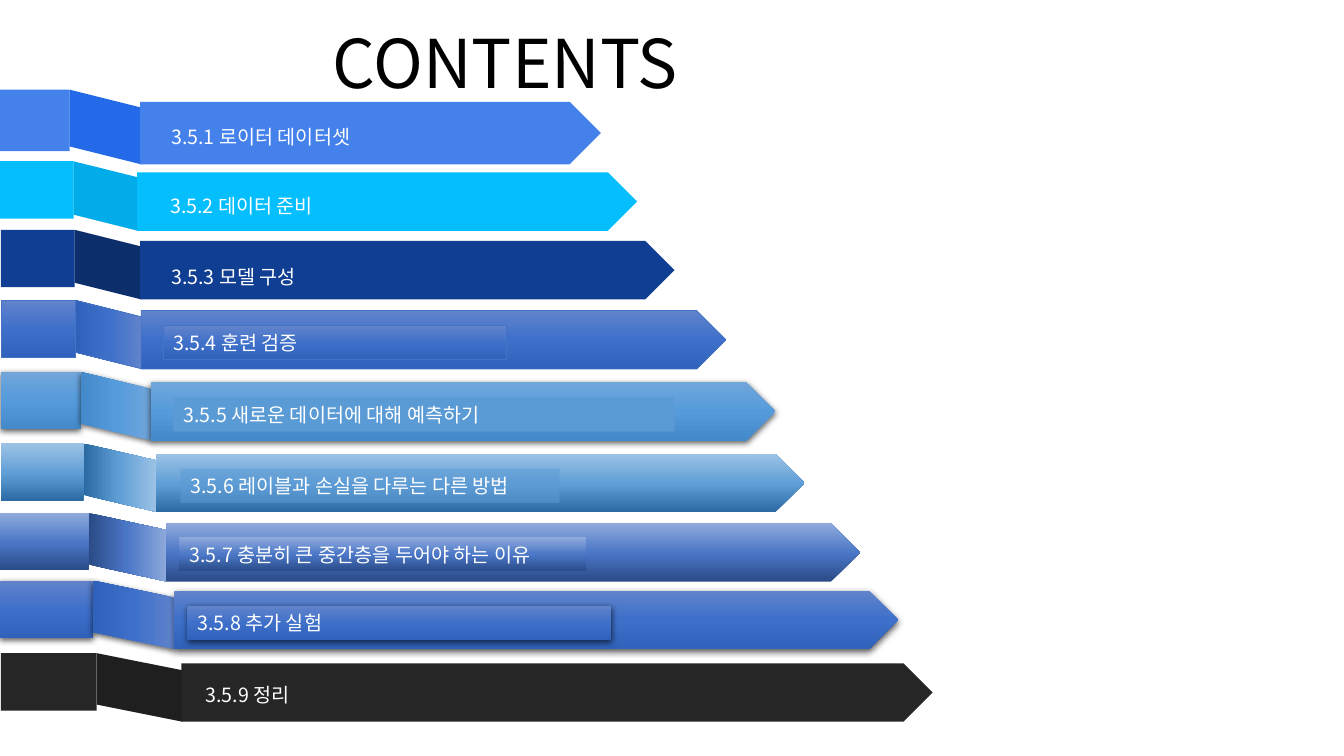
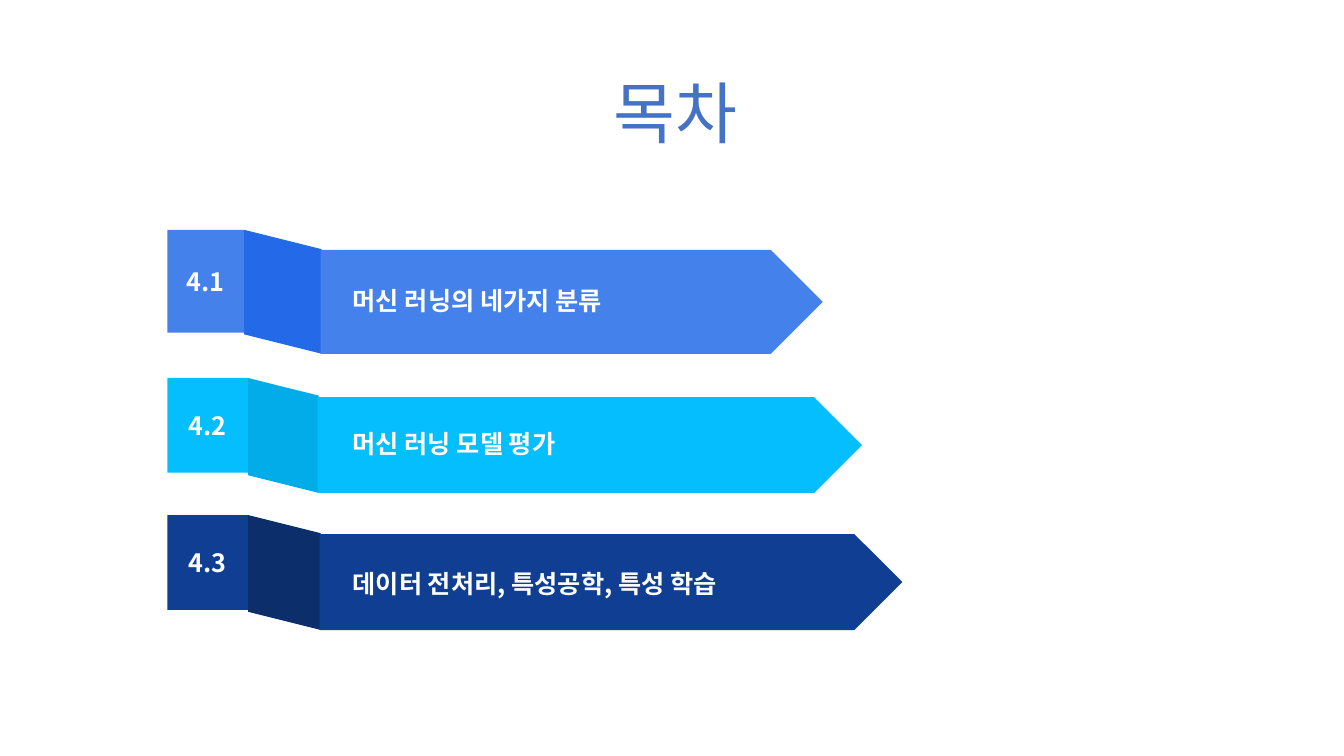
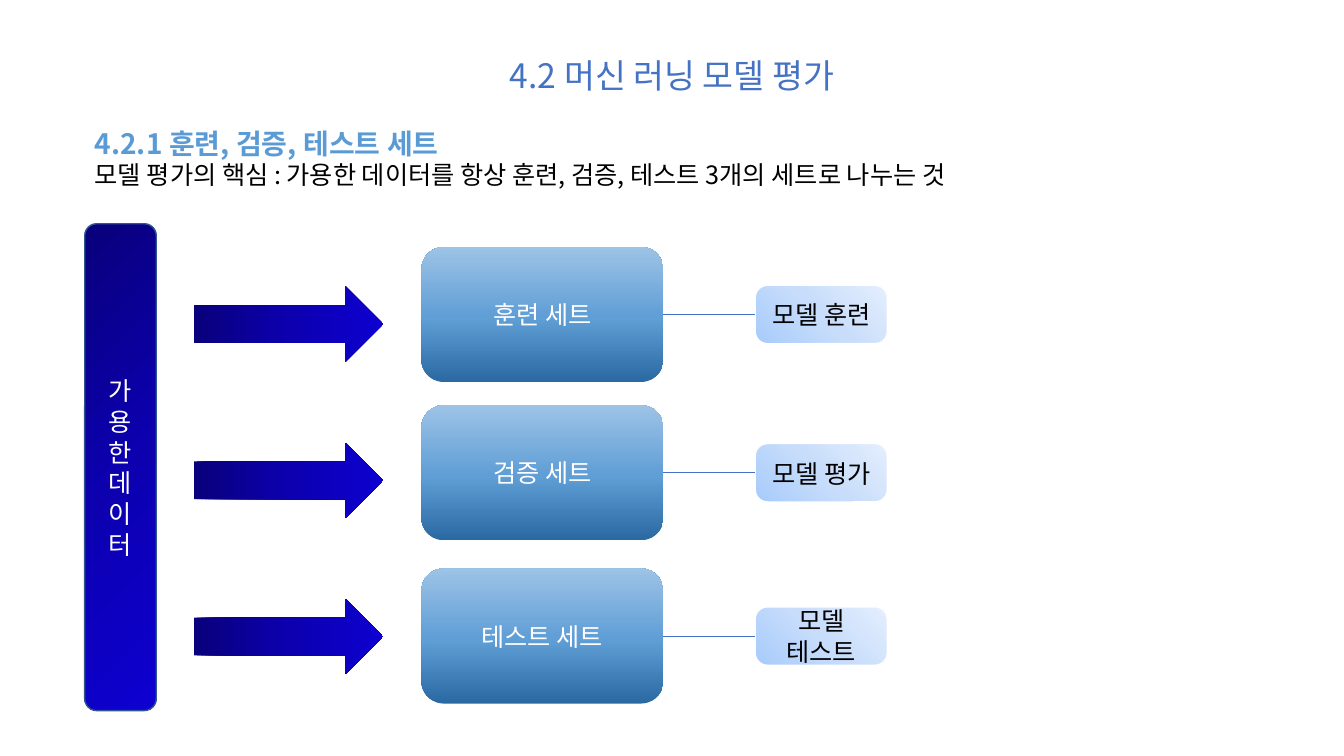
from dataclasses import dataclass
from typing import Any

from lxml import etree
from pptx import Presentation
from pptx.dml.color import RGBColor
from pptx.enum import shapes, text
from pptx.oxml import ns
from pptx.util import Inches, Pt

FONT = "Noto Sans CJK KR"
WHITE = RGBColor(0xFF, 0xFF, 0xFF)
BLACK = RGBColor(0, 0, 0)
ACCENT = RGBColor(0x44, 0x72, 0xC4)
SKY = RGBColor(0x5B, 0x9B, 0xD5)
BLUE = RGBColor(0x44, 0x81, 0xEB)
BLUE_FOLD = RGBColor(0x24, 0x6A, 0xE8)
CYAN = RGBColor(0x04, 0xBE, 0xFE)
CYAN_FOLD = RGBColor(0x01, 0xAC, 0xE9)
NAVY = RGBColor(0x10, 0x3E, 0x92)
NAVY_FOLD = RGBColor(0x0C, 0x2E, 0x6A)
CHARCOAL = RGBColor(0x26, 0x26, 0x26)
CHARCOAL_FOLD = RGBColor(0x1F, 0x1F, 0x1F)
POOL_EDGE = RGBColor(0x32, 0x54, 0x91)

KIND = shapes.MSO_SHAPE
ALIGN = text.PP_ALIGN
ANCHOR = text.MSO_ANCHOR


@dataclass
class Gradient:
    stops: tuple
    angle: int


ROYAL = Gradient(((0, "6183CB"), (50, "3E70CA"), (100, "3062BB")), 90)
AZURE = Gradient(((0, "71A6DB"), (50, "559BDB"), (100, "448ACA")), 90)
STEEL = Gradient(((0, "2A69A2"), (48, "609ED6"), (100, "9DC3E6")), 270)
INDIGO = Gradient(((0, "2A4B86"), (48, "4A76C6"), (100, "8FAADC")), 270)
DEEP_STOPS = ((0, "09007B"), (50, "0C00AF"), (100, "0E00D0"))
POOL_FILL = Gradient(DEEP_STOPS, 45)
FLOW_FILL = Gradient(DEEP_STOPS, 0)
ROLE_FILL = Gradient(((0, "A7CBFB"), (50, "C8DDFB"), (100, "E4EEFD")), 315)


@dataclass
class Style:
    face: Any
    fold: Any
    label: Any = None
    label_alpha: int = 100
    edge: Any = None
    shadow: bool = False
    label_shadow: bool = False


BLUE_STYLE = Style(BLUE, BLUE_FOLD)
CYAN_STYLE = Style(CYAN, CYAN_FOLD)
NAVY_STYLE = Style(NAVY, NAVY_FOLD)
OUTLINED_STYLE = Style(ROYAL, ROYAL, ROYAL, edge=ACCENT)
AZURE_STYLE = Style(AZURE, AZURE, SKY, shadow=True)
STEEL_STYLE = Style(STEEL, STEEL, SKY, label_alpha=50)
INDIGO_STYLE = Style(INDIGO, INDIGO, INDIGO)
RAISED_STYLE = Style(ROYAL, ROYAL, ROYAL, shadow=True, label_shadow=True)
CHARCOAL_STYLE = Style(CHARCOAL, CHARCOAL_FOLD)


@dataclass
class Banner:
    caption: str
    style: Style
    left: float
    top: float
    tab_right: float
    tab_height: float
    arrow_left: float
    arrow_right: float
    drop: float
    label_left: float
    label_top: float
    label_width: float
    number: str = ""


CONTENTS = [
    Banner("3.5.1 로이터 데이터셋", BLUE_STYLE, 0, 0.89, 0.69, 0.61, 1.39, 5.96, 0.12, 1.6, 1.19, 2.6),
    Banner("3.5.2 데이터 준비", CYAN_STYLE, 0, 1.6, 0.73, 0.57, 1.36, 6.32, 0.11, 1.59, 1.87, 2.92),
    Banner("3.5.3 모델 구성", NAVY_STYLE, 0.01, 2.28, 0.74, 0.57, 1.39, 6.69, 0.11, 1.6, 2.57, 3.36),
    Banner("3.5.4 훈련 검증", OUTLINED_STYLE, 0.01, 2.98, 0.75, 0.57, 1.4, 7.2, 0.1, 1.62, 3.23, 3.4),
    Banner("3.5.5 새로운 데이터에 대해 예측하기", AZURE_STYLE, 0.01, 3.69, 0.8, 0.57, 1.5, 7.69, 0.1, 1.72, 3.94, 4.97),
    Banner("3.5.6 레이블과 손실을 다루는 다른 방법", STEEL_STYLE, 0.01, 4.4, 0.83, 0.57, 1.55, 7.98, 0.1, 1.79, 4.65, 3.76),
    Banner("3.5.7 충분히 큰 중간층을 두어야 하는 이유", INDIGO_STYLE, 0, 5.09, 0.88, 0.57, 1.65, 8.53, 0.1, 1.78, 5.33, 4.03),
    Banner("3.5.8 추가 실험", RAISED_STYLE, 0, 5.76, 0.92, 0.57, 1.73, 8.91, 0.1, 1.86, 6.01, 4.2),
    Banner("3.5.9 정리", CHARCOAL_STYLE, 0.01, 6.48, 0.96, 0.57, 1.8, 9.25, 0.1, 1.94, 6.72, 4.36),
]
CHAPTERS = [
    Banner("머신 러닝의 네가지 분류", BLUE_STYLE, 1.66, 2.28, 2.42, 1.02, 3.18, 8.16, 0.2, 3.4, 2.78, 4.52, "4.1"),
    Banner("머신 러닝 모델 평가", CYAN_STYLE, 1.66, 3.75, 2.46, 0.94, 3.15, 8.55, 0.19, 3.4, 4.2, 4.76, "4.2"),
    Banner("데이터 전처리, 특성공학, 특성 학습", NAVY_STYLE, 1.66, 5.11, 2.46, 0.94, 3.17, 8.95, 0.19, 3.4, 5.59, 4.76, "4.3"),
]
STAGES = [
    ("훈련 세트", "모델 훈련", 2.45),
    ("검증 세트", "모델 평가", 4.02),
    ("테스트 세트", "모델 테스트", 5.64),
]


def paint(shape, fill, alpha=100):
    if fill is None:
        shape.fill.background()
    elif isinstance(fill, Gradient):
        shape.fill.gradient()
        gradient = shape.fill._xPr.find(ns.qn("a:gradFill"))
        stops = gradient.find(ns.qn("a:gsLst"))
        for stop in list(stops):
            stops.remove(stop)
        for position, colour in fill.stops:
            stop = etree.SubElement(stops, ns.qn("a:gs"), pos=str(position * 1000))
            etree.SubElement(stop, ns.qn("a:srgbClr"), val=colour)
        direction = gradient.find(ns.qn("a:lin"))
        direction.set("ang", str(fill.angle * 60000))
        direction.set("scaled", "0")
    else:
        shape.fill.solid()
        shape.fill.fore_color.rgb = fill
        if alpha < 100:
            colour = next(shape.fill._xPr.iter(ns.qn("a:srgbClr")))
            etree.SubElement(colour, ns.qn("a:alpha"), val=str(alpha * 1000))


def cast_shadow(shape):
    effects = shape.element.spPr.find(ns.qn("a:effectLst"))
    shadow = etree.SubElement(
        effects, ns.qn("a:outerShdw"), blurRad=str(Pt(4.5)), dist=str(Pt(1.5)),
        dir=str(90 * 60000), algn="ctr", rotWithShape="0")
    colour = etree.SubElement(shadow, ns.qn("a:srgbClr"), val="000000")
    etree.SubElement(colour, ns.qn("a:alpha"), val="63000")


def draw(parent, kind, left, top, width, height, fill, edge=None, edge_width=0.5, alpha=100, shadow=False):
    shape = parent.add_shape(kind, Inches(left), Inches(top), Inches(width), Inches(height))
    shape.shadow.inherit = False
    paint(shape, fill, alpha)
    if edge is None:
        shape.line.fill.background()
    else:
        shape.line.color.rgb = edge
        shape.line.width = Pt(edge_width)
    if shadow:
        cast_shadow(shape)
    return shape


def add_run(paragraph, words, size, colour, bold=False):
    run = paragraph.add_run()
    run.text = words
    run.font.size = Pt(size)
    run.font.bold = bold
    run.font.color.rgb = colour
    run.font.name = FONT
    etree.SubElement(run.font._element, ns.qn("a:ea"), typeface=FONT)


def write(shape, words, size, colour, align=ALIGN.CENTER, bold=False, spacing=None):
    frame = shape.text_frame
    frame.word_wrap = True
    frame.auto_size = text.MSO_AUTO_SIZE.NONE
    frame.vertical_anchor = ANCHOR.MIDDLE
    paragraph = frame.paragraphs[0]
    paragraph.alignment = align
    if spacing is not None:
        paragraph.line_spacing = spacing
    add_run(paragraph, words, size, colour, bold)


def place(shape, left, top, width, height):
    shape.left, shape.top = Inches(left), Inches(top)
    shape.width, shape.height = Inches(width), Inches(height)


def put_title(slide, words, box, size, colour):
    title = slide.shapes.title
    place(title, *box)
    write(title, words, size, colour, spacing=0.9)


def put_banner(slide, banner, size, label_height, bold):
    parts = slide.shapes.add_group_shape().shapes
    style = banner.style
    look = {"edge": style.edge, "shadow": style.shadow}
    arrow_top = banner.top + banner.drop
    arrow_height = banner.tab_height + 0.01

    tab = draw(parts, KIND.RECTANGLE, banner.left, banner.top,
               banner.tab_right - banner.left, banner.tab_height, style.face, **look)
    if banner.number:
        write(tab, banner.number, size, WHITE, bold=bold)

    fold_width = banner.arrow_left - banner.tab_right + 0.01
    fold_length = banner.drop + arrow_height
    fold = draw(parts, KIND.PARALLELOGRAM,
                banner.tab_right + (fold_width - fold_length) / 2,
                banner.top + (fold_length - fold_width) / 2,
                fold_length, fold_width, style.fold, **look)
    fold.rotation = 90

    draw(parts, KIND.PENTAGON, banner.arrow_left, arrow_top,
         banner.arrow_right - banner.arrow_left, arrow_height, style.face, **look)

    label_box = (banner.label_left, banner.label_top, banner.label_width, label_height)
    if style.label is None:
        label = parts.add_textbox(*map(Inches, label_box))
    else:
        label = draw(parts, KIND.RECTANGLE, *label_box, style.label, style.edge,
                     alpha=style.label_alpha, shadow=style.label_shadow)
    write(label, banner.caption, size, WHITE, ALIGN.LEFT, bold)


def build_agenda(deck, title, title_box, title_colour, banners, size, label_height, bold):
    slide = deck.slides.add_slide(deck.slide_layouts[5])
    put_title(slide, title, title_box, 48, title_colour)
    for banner in banners:
        put_banner(slide, banner, size, label_height, bold)


def put_summary(slide, box):
    summary = slide.placeholders[1]
    place(summary, *box)
    frame = summary.text_frame
    frame.word_wrap = True
    frame.auto_size = text.MSO_AUTO_SIZE.NONE
    frame.vertical_anchor = ANCHOR.TOP
    lines = [
        ("4.2.1 훈련, 검증, 테스트 세트", 20, SKY, True, 26),
        ("모델 평가의 핵심 : 가용한 데이터를 항상 훈련, 검증, 테스트 3개의 세트로 나누는 것", 18, BLACK, False, 21),
    ]
    for index, (words, size, colour, bold, pitch) in enumerate(lines):
        paragraph = frame.add_paragraph() if index else frame.paragraphs[0]
        properties = paragraph._p.get_or_add_pPr()
        properties.set("marL", "0")
        properties.set("indent", "0")
        etree.SubElement(properties, ns.qn("a:buNone"))
        paragraph.space_before = Pt(0)
        paragraph.line_spacing = Pt(pitch)
        add_run(paragraph, words, size, colour, bold)


def put_stage(slide, left, top, stage_name, role_name):
    width, height = 2.4, 1.34
    role_height = 0.58
    stage = draw(slide.shapes, KIND.ROUNDED_RECTANGLE, left, top, width, height, STEEL)
    write(stage, stage_name, 18, WHITE)
    role = draw(slide.shapes, KIND.ROUNDED_RECTANGLE, left + 3.31,
                top + (height - role_height) / 2, 1.31, role_height, ROLE_FILL, WHITE, 1)
    role.adjustments[0] = 0.21
    write(role, role_name, 18, BLACK, spacing=Pt(22))
    link = slide.shapes.add_connector(shapes.MSO_CONNECTOR.STRAIGHT, 0, 0, 0, 0)
    link.begin_connect(stage, 3)
    link.end_connect(role, 1)
    link.line.color.rgb = ACCENT
    link.line.width = Pt(0.5)
    etree.SubElement(link.element.spPr, ns.qn("a:effectLst"))


def build_evaluation(deck):
    slide = deck.slides.add_slide(deck.slide_layouts[1])
    put_title(slide, "4.2 머신 러닝 모델 평가", (0.84, 0.52, 11.65, 0.5), 24, ACCENT)
    put_summary(slide, (0.84, 1.18, 11.65, 1.04))
    pool = draw(slide.shapes, KIND.ROUNDED_RECTANGLE, 0.84, 2.22, 0.71, 4.83, POOL_FILL, POOL_EDGE, 1)
    write(pool, "가용한 데이터", 18, WHITE, spacing=Pt(22))
    for index, (stage_name, role_name, top) in enumerate(STAGES):
        draw(slide.shapes, KIND.RIGHT_ARROW, 1.92, 2.84 + index * 1.55, 1.88, 0.75, FLOW_FILL)
        put_stage(slide, 4.18, top, stage_name, role_name)


def main():
    deck = Presentation()
    deck.slide_width, deck.slide_height = Inches(13.33), Inches(7.5)
    build_agenda(deck, "CONTENTS", (0.72, 0.21, 8.58, 0.91), BLACK, CONTENTS, 14, 0.34, False)
    build_agenda(deck, "목차", (2.41, 0.7, 8.58, 0.91), ACCENT, CHAPTERS, 18, 0.4, True)
    build_evaluation(deck)
    deck.save("out.pptx")


if __name__ == "__main__":
    main()
